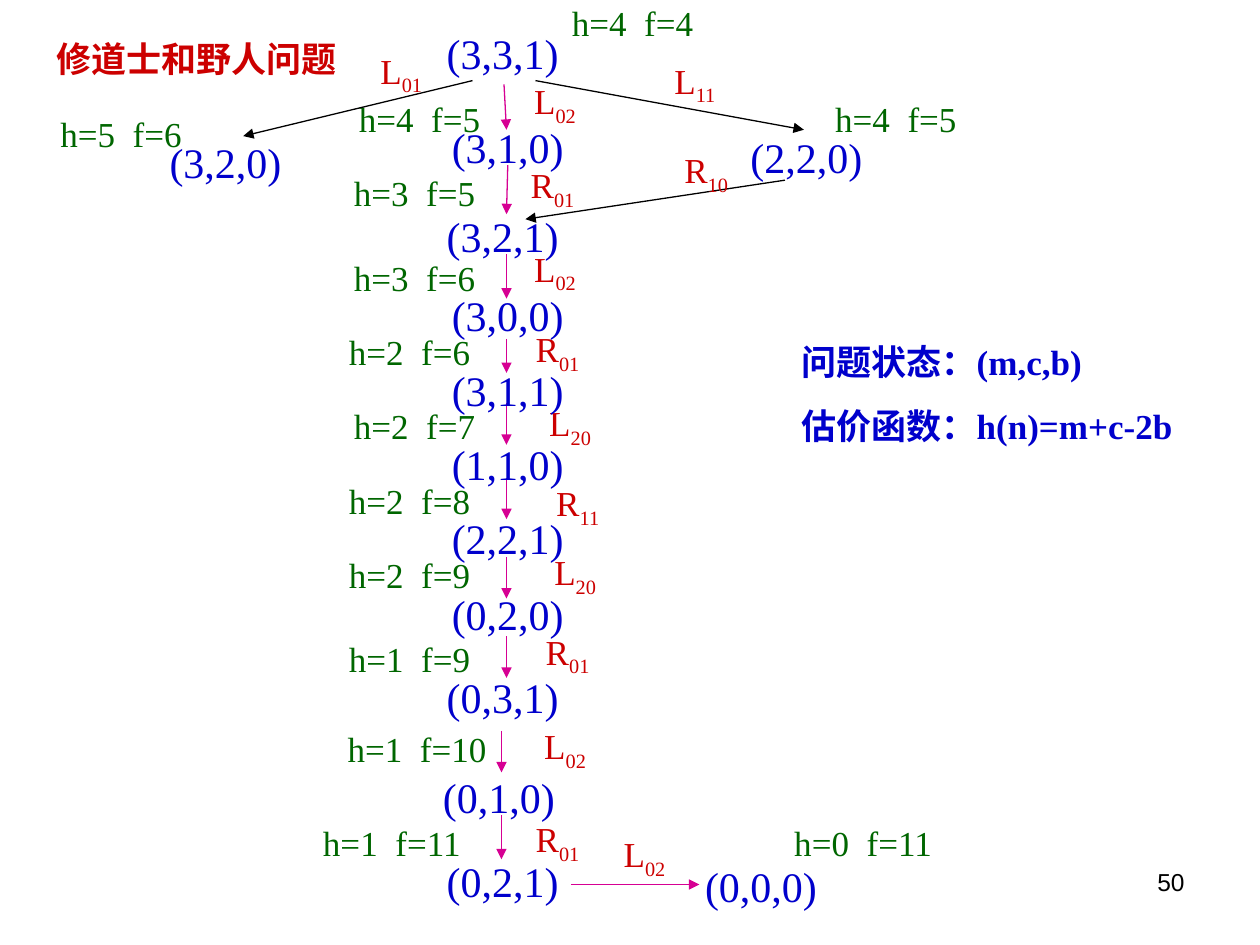
from lxml import etree
from pptx import Presentation
from pptx.dml.color import RGBColor
from pptx.enum.shapes import MSO_CONNECTOR
from pptx.enum.text import MSO_ANCHOR, MSO_AUTO_SIZE, PP_ALIGN
from pptx.oxml.ns import qn
from pptx.util import Inches, Pt

RED = RGBColor(0xCC, 0x00, 0x00)
BLUE = RGBColor(0x00, 0x00, 0xCC)
GREEN = RGBColor(0x00, 0x66, 0x00)
PINK = RGBColor(0xD6, 0x00, 0x93)
BLACK = RGBColor(0x00, 0x00, 0x00)
SERIF = "Times New Roman"

# Nodes: state, x, y, h, f, label x, label y (inches inside the region)
SPINE_NODES = [
    ("(3,3,1)", 1.06, 0.21, 4, 4, 2.05, 0),
    ("(3,1,0)", 1.1, 0.95, 4, 5, 0.36, 0.76),
    ("(3,2,1)", 1.06, 1.66, 3, 5, 0.32, 1.35),
    ("(3,0,0)", 1.1, 2.29, 3, 6, 0.32, 2.02),
    ("(3,1,1)", 1.1, 2.88, 2, 6, 0.28, 2.61),
    ("(1,1,0)", 1.1, 3.47, 2, 7, 0.32, 3.2),
    ("(2,2,1)", 1.1, 4.06, 2, 8, 0.28, 3.79),
    ("(0,2,0)", 1.1, 4.66, 2, 9, 0.28, 4.38),
    ("(0,3,1)", 1.06, 5.32, 1, 9, 0.28, 5.05),
    ("(0,1,0)", 1.03, 6.11, 1, 10, 0.28, 5.76),
    ("(0,2,1)", 1.06, 6.78, 1, 11, 0.08, 6.51),
]
# Moves: operator, label x, label y, arrow start x, y, arrow end x, y
SPINE_MOVES = [
    ("L02", 1.73, 0.62, 1.6, 0.67, 1.62, 1.03),
    ("R01", 1.73, 1.29, 1.63, 1.31, 1.62, 1.7),
    ("L02", 1.73, 1.95, 1.62, 2.02, 1.62, 2.37),
    ("R01", 1.77, 2.59, 1.62, 2.69, 1.62, 2.96),
    ("L20", 1.85, 3.18, 1.62, 3.2, 1.62, 3.53),
    ("R11", 1.93, 3.81, 1.62, 3.79, 1.62, 4.12),
    ("L20", 1.89, 4.36, 1.62, 4.42, 1.62, 4.75),
    ("R01", 1.85, 4.99, 1.62, 5.05, 1.62, 5.38),
    ("L02", 1.81, 5.74, 1.58, 5.8, 1.58, 6.13),
    ("R01", 1.77, 6.48, 1.58, 6.47, 1.58, 6.82),
]
LEFT_NODES = [("(3,2,0)", 0.87, 0.69, 5, 6, 0, 0.5)]
LEFT_MOVES = [("L01", 2.52, 0, 3.36, 0.26, 1.54, 0.7)]
RIGHT_NODES = [("(2,2,0)", 1.7, 0.57, 4, 5, 2.37, 0.3)]
RIGHT_MOVES = [
    ("L11", 1.07, 0, 0.08, 0.18, 2.21, 0.57),
    ("R10", 1.18, 0.71, 2.06, 0.97, 0, 1.28),
]
GOAL_NODES = [("(0,0,0)", 0.98, 0.31, 0, 11, 1.69, 0)]
GOAL_MOVES = [("L02", 0.31, 0.09, 0, 0.51, 1.02, 0.51)]


def style(r, size, color, font=SERIF, bold=False):
    r.font.name = font
    r.font.size = Pt(size)
    r.font.bold = bold
    r.font.color.rgb = color


def add_label(s, left, top, width, height, texts, size, color):
    """Centred one-line label; returns its runs."""
    tf = s.shapes.add_textbox(left, top, width, height).text_frame
    tf.word_wrap = True
    tf.vertical_anchor = MSO_ANCHOR.MIDDLE
    tf.margin_left = tf.margin_right = Inches(0.06)
    tf.margin_top = tf.margin_bottom = Inches(0.01)
    p = tf.paragraphs[0]
    p.alignment = PP_ALIGN.CENTER
    for text in texts:
        r = p.add_run()
        r.text = text
        style(r, size, color)
    return p.runs


def add_arrow(s, x1, y1, x2, y2, color):
    line = s.shapes.add_connector(MSO_CONNECTOR.STRAIGHT, x1, y1, x2, y2)
    line.line.color.rgb = color
    line.line.width = Pt(0.75)
    ln = line.line._get_or_add_ln()
    etree.SubElement(ln, qn("a:tailEnd"), type="triangle")
    etree.SubElement(line._element.spPr, qn("a:effectLst"))


def add_branch(s, left, top, nodes, moves, color):
    """Part of the search tree, placed from its top left corner."""
    def at(x, y):
        return left + Inches(x), top + Inches(y)

    # Arrows and operators
    for op, x, y, x1, y1, x2, y2 in moves:
        add_arrow(s, *at(x1, y1), *at(x2, y2), color)
        width = Inches(0.55 if op[0] == "L" else 0.51)
        runs = add_label(s, *at(x, y), width, Inches(0.4), (op[0], op[1:]), 20, RED)
        runs[1]._r.get_or_add_rPr().set("baseline", "-25000")

    # States with their h and f values
    for state, x, y, h, f, label_x, label_y in nodes:
        add_label(s, *at(x, y), Inches(1.06), Inches(0.42), [state], 24, BLUE)
        width = Inches(1.26 if f > 9 else 1.14)
        texts = (f"h={h}", " ", f"f={f}")
        runs = add_label(s, *at(label_x, label_y), width, Inches(0.36), texts, 20, GREEN)
        runs[1]._r.get_or_add_rPr().set("spc", "500")  # widen the gap


def fill_placeholder(sp, left, top, width, height, lines, color, align):
    sp.left, sp.top, sp.width, sp.height = left, top, width, height
    tf = sp.text_frame
    tf.text = "\n".join(lines)
    tf.word_wrap = True
    tf.auto_size = MSO_AUTO_SIZE.NONE
    tf.vertical_anchor = MSO_ANCHOR.TOP
    for i, p in enumerate(tf.paragraphs):
        pPr = p._p.get_or_add_pPr()
        pPr.set("marL", "0")
        pPr.set("indent", "0")
        etree.SubElement(pPr, qn("a:buNone"))
        p.alignment = align
        p.space_before = Pt(12.5 if i else 0)
        for r in p.runs:
            style(r, 20, color, bold=True)


def add_page_number(s, left, top, width, height):
    tf = s.shapes.add_textbox(left, top, width, height).text_frame
    tf.word_wrap = True
    tf.text = "50"
    p = tf.paragraphs[0]
    p.alignment = PP_ALIGN.RIGHT
    style(p.runs[0], 14, BLACK, "Arial")


def main():
    prs = Presentation()
    prs.slide_width, prs.slide_height = Inches(10), Inches(7.5)
    s = prs.slides.add_slide(prs.slide_layouts[1])

    # Title and notes
    fill_placeholder(s.shapes.title, Inches(0.2), Inches(0.25), Inches(2.72),
                     Inches(0.44), ["修道士和野人问题"], RED, PP_ALIGN.CENTER)
    fill_placeholder(s.placeholders[1], Inches(6.26), Inches(2.65), Inches(3.19),
                     Inches(1.28), ["问题状态：(m,c,b)", "估价函数：h(n)=m+c-2b"],
                     BLUE, PP_ALIGN.LEFT)

    # Search tree
    add_branch(s, Inches(2.4), Inches(0), SPINE_NODES, SPINE_MOVES, PINK)
    add_branch(s, Inches(0.39), Inches(0.38), LEFT_NODES, LEFT_MOVES, BLACK)
    add_branch(s, Inches(4.17), Inches(0.46), RIGHT_NODES, RIGHT_MOVES, BLACK)
    add_branch(s, Inches(4.53), Inches(6.51), GOAL_NODES, GOAL_MOVES, PINK)

    add_page_number(s, Inches(7.17), Inches(6.83), Inches(2.33), Inches(0.52))
    prs.save("out.pptx")


if __name__ == "__main__":
    main()
